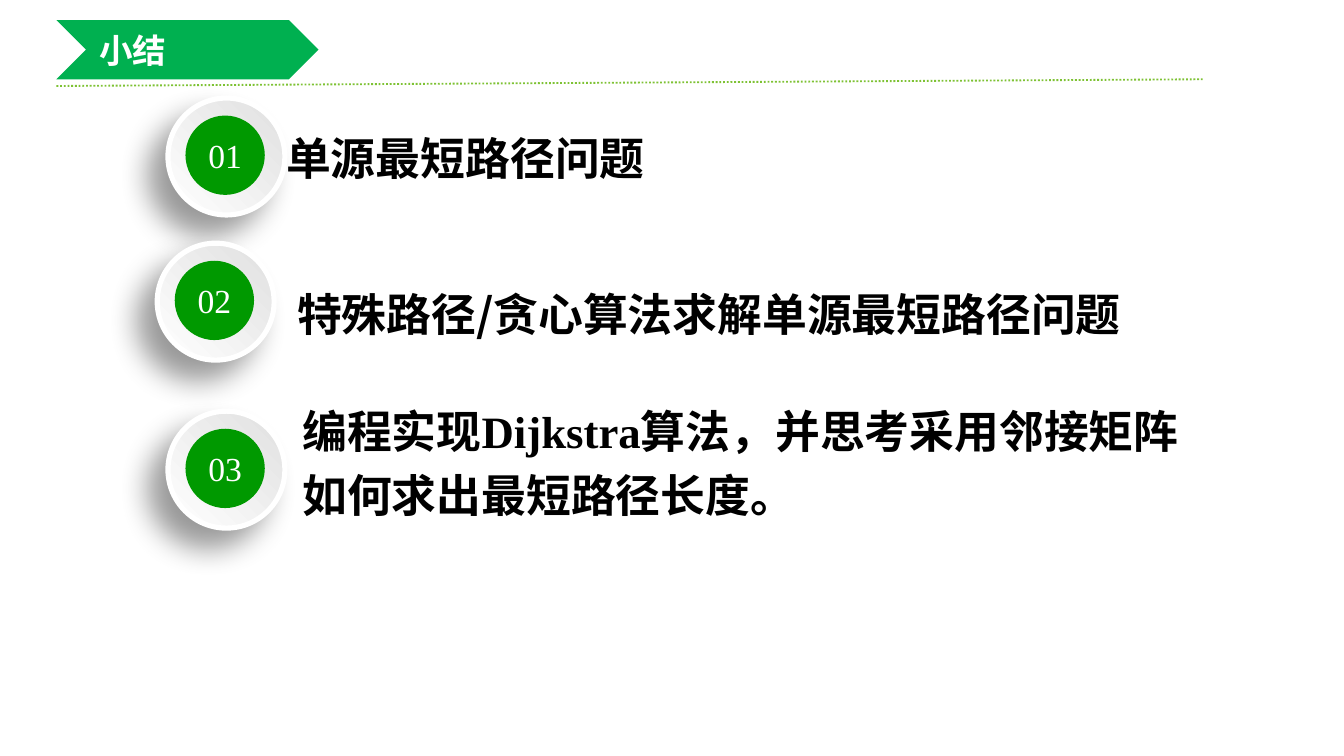
from lxml import etree
from pptx import Presentation
from pptx.dml.color import RGBColor
from pptx.enum.dml import MSO_LINE
from pptx.enum.shapes import MSO_CONNECTOR, MSO_SHAPE
from pptx.enum.text import MSO_ANCHOR, MSO_AUTO_SIZE, PP_ALIGN
from pptx.oxml.ns import qn
from pptx.util import Inches, Pt

STRAIGHT = MSO_CONNECTOR.STRAIGHT
OVAL, CHEVRON = MSO_SHAPE.OVAL, MSO_SHAPE.CHEVRON
DOTTED = MSO_LINE.ROUND_DOT
TOP, MIDDLE = MSO_ANCHOR.TOP, MSO_ANCHOR.MIDDLE
LEFT, CENTER = PP_ALIGN.LEFT, PP_ALIGN.CENTER
NO_FIT = MSO_AUTO_SIZE.NONE
BLANK = 6
HAN, ROMAN = "Noto Sans CJK SC", "Times New Roman"
CELL = Inches(0.1)
COLUMNS, ROWS = 100, 56.25
RING, DISC = 8.7, 5.9
INSET = 1.3


def color(value):
    return RGBColor.from_string(value)


def write(box, text, look, align, anchor, margins, spacing):
    frame = box.text_frame
    layout = {"word_wrap": True, "auto_size": NO_FIT, "vertical_anchor": anchor,
              "margin_left": margins[0], "margin_right": margins[0],
              "margin_top": margins[1], "margin_bottom": margins[1]}
    for name, value in layout.items():
        setattr(frame, name, value)
    para = frame.paragraphs[0]
    para.alignment = align
    para.line_spacing = spacing
    span = para.add_run()
    span.text = text
    for name, value in look.items():
        if name != "color":
            setattr(span.font, name, value)
    span.font.color.rgb = color(look["color"])
    latin = span.font._element.find(qn("a:latin"))
    east = etree.Element(qn("a:ea"), typeface=HAN)
    latin.addnext(east)


deck = Presentation()
deck.slide_width = int(COLUMNS * CELL)
deck.slide_height = int(ROWS * CELL)
page = deck.slides.add_slide(deck.slide_layouts[BLANK])

rule = page.shapes.add_connector(
    STRAIGHT, *(int(v * CELL) for v in (4.2, 6.4, 89.6, 5.9)))
rule.line.color.rgb = color("7EC234")
rule.line.width = Pt(1)
rule.line.dash_style = DOTTED
etree.SubElement(rule._element.spPr, qn("a:effectLst"))

banner = page.shapes.add_shape(
    CHEVRON, *(int(v * CELL) for v in (4.2, 1.5, 19.5, 4.4)))
banner.fill.solid()
banner.fill.fore_color.rgb = color("00B050")
banner.line.fill.background()
banner.shadow.inherit = False
write(banner, "小结", {"size": Pt(18), "name": HAN, "bold": True, "color": "FFFFFF"},
      LEFT, MIDDLE, (Inches(0.1), Inches(0.05)), 1)

items = [
    ("单源最短路径问题", HAN, (12.5, 7.3), (20, 8.9, 53, 5.9)),
    ("特殊路径/贪心算法求解单源最短路径问题", HAN, (11.7, 18.1), (20.8, 20.5, 72.5, 5.9)),
    ("编程实现Dijkstra算法，并思考采用邻接矩阵如何求出最短路径长度。", ROMAN,
     (12.5, 30.6), (21.2, 29.2, 70.5, 10.1)),
]
for number, (text, face, (column, row), area) in enumerate(items, 1):
    badge = page.shapes.add_group_shape()
    ring = badge.shapes.add_shape(
        OVAL, *(int(v * CELL) for v in (column, row, RING, RING)))
    ring.fill.gradient()
    ring.fill.gradient_angle = 225
    for stop, value, position in zip(ring.fill.gradient_stops, ("E0E0E0", "FFFFFF"), (0, 1)):
        stop.color.rgb = color(value)
        stop.position = position
    ring.line.color.rgb = color("FFFFFF")
    ring.line.width = Pt(2.75)
    ring.shadow.inherit = False
    shadow = etree.SubElement(
        ring._element.spPr.find(qn("a:effectLst")), qn("a:outerShdw"),
        blurRad=str(Pt(16)), dist=str(Pt(14)), dir=str(135 * 60000),
        algn="tr", rotWithShape="0")
    black = etree.SubElement(shadow, qn("a:srgbClr"), val="000000")
    etree.SubElement(black, qn("a:alpha"), val="40000")

    disc = badge.shapes.add_shape(
        OVAL, *(int(v * CELL) for v in (column + INSET, row + INSET, DISC, DISC)))
    disc.fill.solid()
    disc.fill.fore_color.rgb = color("009900")
    disc.line.fill.background()
    disc.shadow.inherit = False
    write(disc, f"{number:02}", {"size": Pt(18), "name": ROMAN, "color": "FFFFFF"},
          CENTER, MIDDLE, (0, 0), 1)

    box = page.shapes.add_textbox(*(int(v * CELL) for v in area))
    write(box, text, {"size": Pt(24), "name": face, "bold": True, "color": "000000"},
          LEFT, TOP, (Inches(0.13), 0), 1.2)

deck.save("out.pptx")
